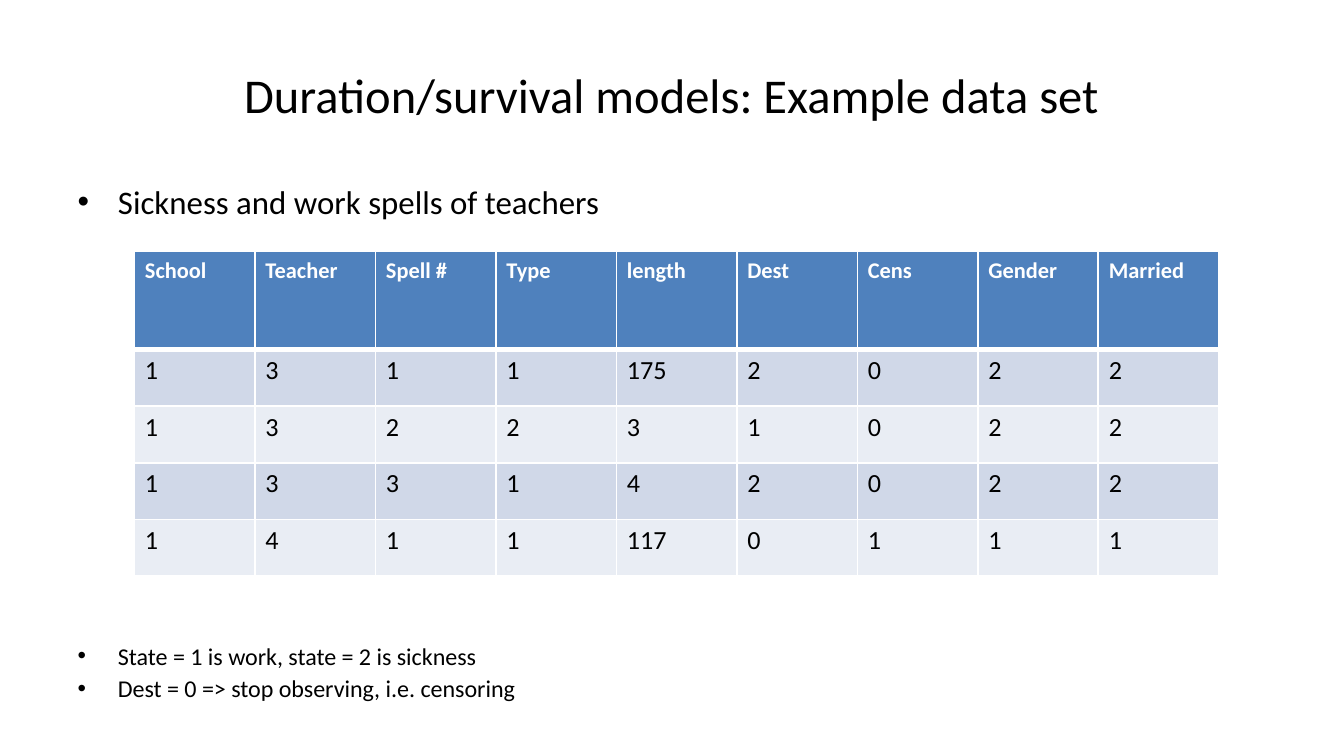
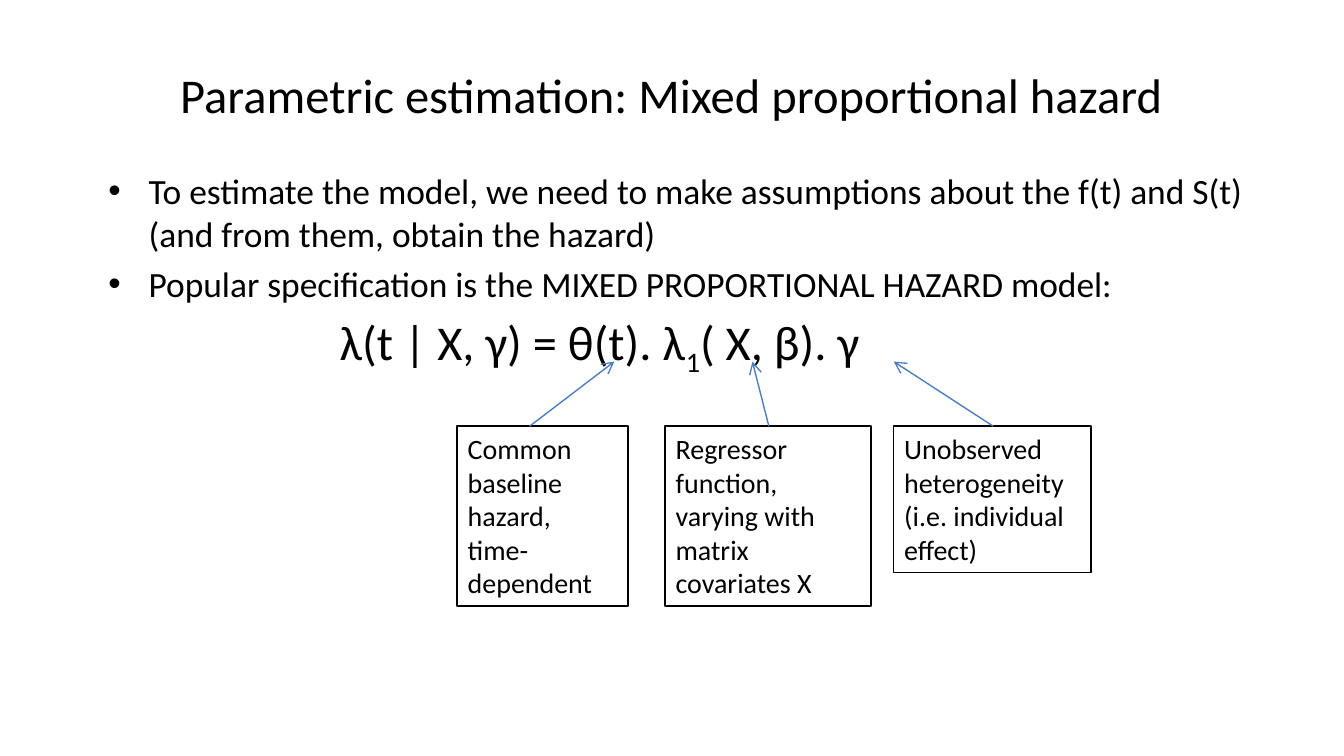
from dataclasses import dataclass

import pptx
import pptx.dml.color
import pptx.enum.shapes
import pptx.enum.text
import pptx.oxml.ns
import pptx.oxml.xmlchemy
import pptx.presentation
import pptx.shapes.autoshape
import pptx.slide
import pptx.text.text
import pptx.util

Cm = pptx.util.Cm
Pt = pptx.util.Pt
qn = pptx.oxml.ns.qn
new_element = pptx.oxml.xmlchemy.OxmlElement

FONT = "Calibri"
COLOURS = {
    "text": "000000",
    "white": "FFFFFF",
    "header": "4F81BD",
    "band_dark": "D0D8E8",
    "band_light": "E9EDF4",
    "arrow": "4B7EBC",
}
INSET_X, INSET_Y = Cm(0.2), Cm(0.1)
BULLET_INDENT = 0.76
TITLE_ONLY = 5


@dataclass
class Frame:
    left: float
    top: float
    width: float
    height: float

    def lengths(self) -> tuple[pptx.util.Length, ...]:
        return Cm(self.left), Cm(self.top), Cm(self.width), Cm(self.height)


@dataclass
class Line:
    text: str
    size: float
    before: float = 0
    bullet: bool = True


@dataclass
class Callout:
    text: str
    left: float
    width: float
    height: float
    arrow_start: float
    arrow_tip: float


TITLE_FRAME = Frame(1.27, 0.58, 22.86, 2.39)
SPELL_BODY = Frame(1.27, 3.33, 22.86, 9.42)
SPELL_LINES = [
    Line("Sickness and work spells of teachers", 17.6),
    Line("State = 1 is work, state = 2 is sickness", 12.9, before=225),
    Line("Dest = 0 => stop observing, i.e. censoring", 12.9, before=2),
]
SPELL_TABLE = Frame(2.54, 4.75, 20.5, 6.13)
HEADER_HEIGHT, ROW_HEIGHT = 1.85, 1.07
SPELL_HEADER = ["School", "Teacher", "Spell #", "Type", "length", "Dest", "Cens", "Gender", "Married"]
SPELL_ROWS = [
    [1, 3, 1, 1, 175, 2, 0, 2, 2],
    [1, 3, 2, 2, 3, 1, 0, 2, 2],
    [1, 3, 3, 1, 4, 2, 0, 2, 2],
    [1, 4, 1, 1, 117, 0, 1, 1, 1],
]

HAZARD_BODY = Frame(1.85, 3.1, 22.28, 4.8)
HAZARD_LINES = [
    Line("To estimate the model, we need to make assumptions about the f(t) and S(t) "
         "(and from them, obtain the hazard)", 19),
    Line("Popular specification is the MIXED PROPORTIONAL HAZARD model:", 19, before=4),
    Line("λ(t | X, γ) = θ(t). λ", 26, before=4, bullet=False),
]
FORMULA_INDENT = 4.37
CALLOUT_TOP, TIP_TOP = 8.05, 6.83
CALLOUTS = [
    Callout("Common baseline hazard, time-dependent", 8.64, 3.23, 3.4, 10.01, 11.61),
    Callout("Regressor function, varying with matrix covariates X", 12.57, 3.89, 3.4, 14.53, 14.22),
    Callout("Unobserved heterogeneity (i.e. individual effect)", 16.89, 3.73, 2.77, 18.77, 16.89),
]


def colour(name: str) -> pptx.dml.color.RGBColor:
    return pptx.dml.color.RGBColor.from_string(COLOURS[name])


def set_font(para: pptx.text.text._Paragraph, size: float, name: str = "text", bold: bool = False) -> None:
    para.font.name = FONT
    para.font.size = Pt(size)
    para.font.bold = bold
    para.font.color.rgb = colour(name)


def set_insets(holder) -> None:
    holder.margin_left = holder.margin_right = INSET_X
    holder.margin_top = holder.margin_bottom = INSET_Y


def add_page(deck: pptx.presentation.Presentation, title: str) -> pptx.slide.Slide:
    page = deck.slides.add_slide(deck.slide_layouts[TITLE_ONLY])
    box = page.shapes.title
    box.left, box.top, box.width, box.height = TITLE_FRAME.lengths()
    box.text_frame.text = title
    box.text_frame.auto_size = pptx.enum.text.MSO_AUTO_SIZE.NONE
    box.text_frame.vertical_anchor = pptx.enum.text.MSO_ANCHOR.MIDDLE
    set_insets(box.text_frame)
    para = box.text_frame.paragraphs[0]
    para.alignment = pptx.enum.text.PP_ALIGN.CENTER
    set_font(para, 26)
    return page


def add_text(page: pptx.slide.Slide, frame: Frame) -> pptx.shapes.autoshape.Shape:
    box = page.shapes.add_textbox(*frame.lengths())
    box.text_frame.word_wrap = True
    set_insets(box.text_frame)
    return box


def set_indent(para: pptx.text.text._Paragraph, left: float, first: float) -> None:
    properties = para._p.get_or_add_pPr()
    properties.set("marL", str(Cm(left)))
    properties.set("indent", str(Cm(first)))


def add_bullet(para: pptx.text.text._Paragraph) -> None:
    set_indent(para, BULLET_INDENT, -BULLET_INDENT)
    properties = para._p.get_or_add_pPr()
    for tag, key, value in (("a:buFont", "typeface", "Arial"), ("a:buChar", "char", "•")):
        element = new_element(tag)
        element.set(key, value)
        properties.append(element)


def add_body(page: pptx.slide.Slide, frame: Frame, lines: list[Line]) -> pptx.text.text.TextFrame:
    text_frame = add_text(page, frame).text_frame
    for index, line in enumerate(lines):
        para = text_frame.add_paragraph() if index else text_frame.paragraphs[0]
        para.add_run().text = line.text
        para.space_before = Pt(line.before)
        if line.bullet:
            add_bullet(para)
        set_font(para, line.size)
    return text_frame


def add_borders(cell, widths: dict[str, float]) -> None:
    properties = cell._tc.get_or_add_tcPr()
    for side, width in widths.items():
        border = new_element(f"a:ln{side}")
        border.set("w", str(Pt(width)))
        fill = new_element("a:solidFill")
        tint = new_element("a:srgbClr")
        tint.set("val", COLOURS["white"])
        fill.append(tint)
        border.append(fill)
        properties.append(border)


def add_spell_table(page: pptx.slide.Slide) -> None:
    rows = [SPELL_HEADER, *SPELL_ROWS]
    table = page.shapes.add_table(len(rows), len(SPELL_HEADER), *SPELL_TABLE.lengths()).table
    for column in table.columns:
        column.width = Cm(SPELL_TABLE.width / len(SPELL_HEADER))
    for row_index, values in enumerate(rows):
        header = row_index == 0
        table.rows[row_index].height = Cm(HEADER_HEIGHT if header else ROW_HEIGHT)
        band = "header" if header else "band_dark" if row_index % 2 else "band_light"
        for column_index, value in enumerate(values):
            cell = table.cell(row_index, column_index)
            cell.text = str(value)
            set_insets(cell)
            add_borders(cell, {"L": 1, "R": 1, "T": 3 if row_index == 1 else 1, "B": 3 if header else 1})
            cell.fill.solid()
            cell.fill.fore_color.rgb = colour(band)
            para = cell.text_frame.paragraphs[0]
            if header:
                set_font(para, 12, "white", bold=True)
            else:
                set_font(para, 14)


def add_arrow(page: pptx.slide.Slide, callout: Callout) -> None:
    arrow = page.shapes.add_connector(
        pptx.enum.shapes.MSO_CONNECTOR.STRAIGHT,
        Cm(callout.arrow_start), Cm(CALLOUT_TOP), Cm(callout.arrow_tip), Cm(TIP_TOP),
    )
    arrow.line.width = Pt(0.75)
    arrow.line.color.rgb = colour("arrow")
    head = new_element("a:tailEnd")
    head.set("type", "arrow")
    properties = arrow._element.spPr
    properties.find(qn("a:ln")).append(head)
    properties.append(new_element("a:effectLst"))


def add_callout(page: pptx.slide.Slide, callout: Callout) -> None:
    box = add_text(page, Frame(callout.left, CALLOUT_TOP, callout.width, callout.height))
    box.line.color.rgb = colour("text")
    box.line.width = Pt(0.75)
    box.text_frame.auto_size = pptx.enum.text.MSO_AUTO_SIZE.SHAPE_TO_FIT_TEXT
    para = box.text_frame.paragraphs[0]
    para.add_run().text = callout.text
    set_font(para, 15)


def build_spell_page(deck: pptx.presentation.Presentation) -> None:
    page = add_page(deck, "Duration/survival models: Example data set")
    add_body(page, SPELL_BODY, SPELL_LINES)
    add_spell_table(page)


def build_hazard_page(deck: pptx.presentation.Presentation) -> None:
    page = add_page(deck, "Parametric estimation: Mixed proportional hazard")
    formula = add_body(page, HAZARD_BODY, HAZARD_LINES).paragraphs[-1]
    set_indent(formula, FORMULA_INDENT, 0)
    subscript = formula.add_run()
    subscript.text = "1"
    subscript.font._element.set("baseline", "-25000")
    formula.add_run().text = "( X, β). γ"
    for callout in CALLOUTS:
        add_callout(page, callout)
    for callout in CALLOUTS:
        add_arrow(page, callout)


def main() -> None:
    deck = pptx.Presentation()
    deck.slide_width, deck.slide_height = Cm(25.4), Cm(14.28)
    build_spell_page(deck)
    build_hazard_page(deck)
    deck.save("out.pptx")


if __name__ == "__main__":
    main()
